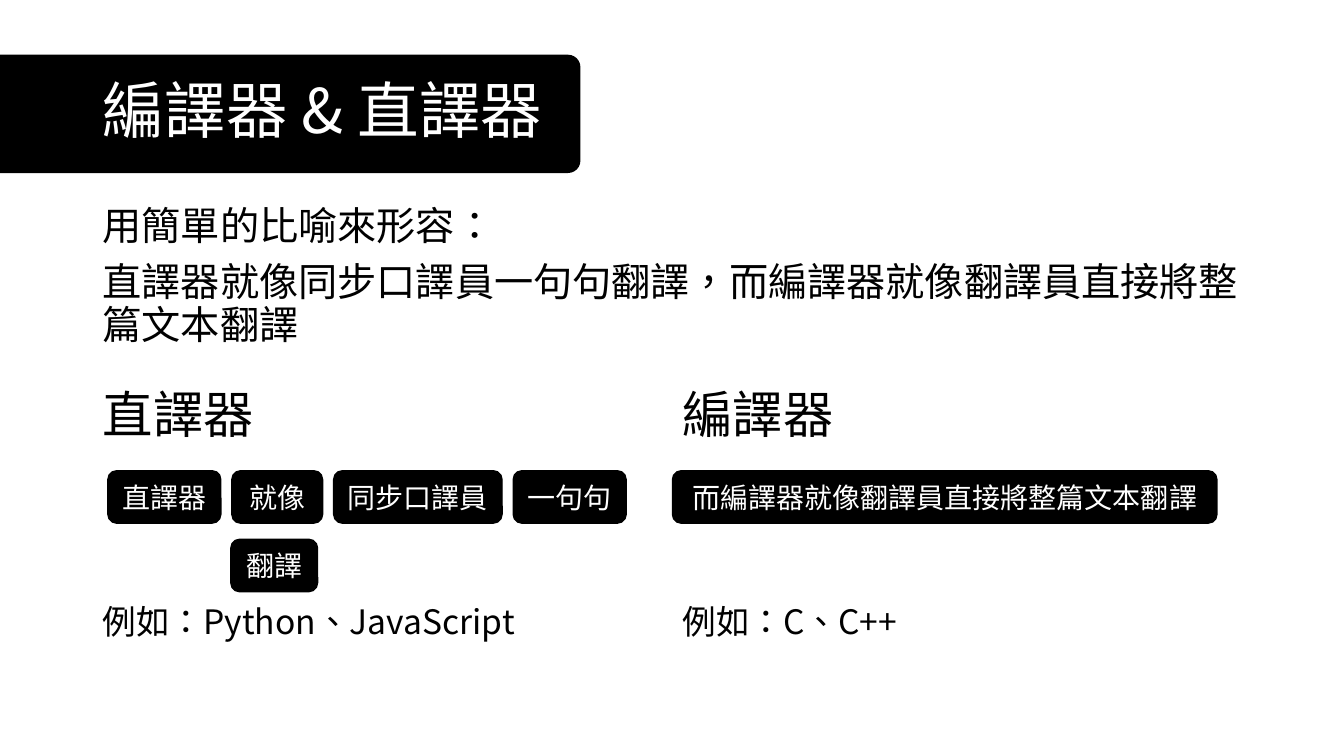
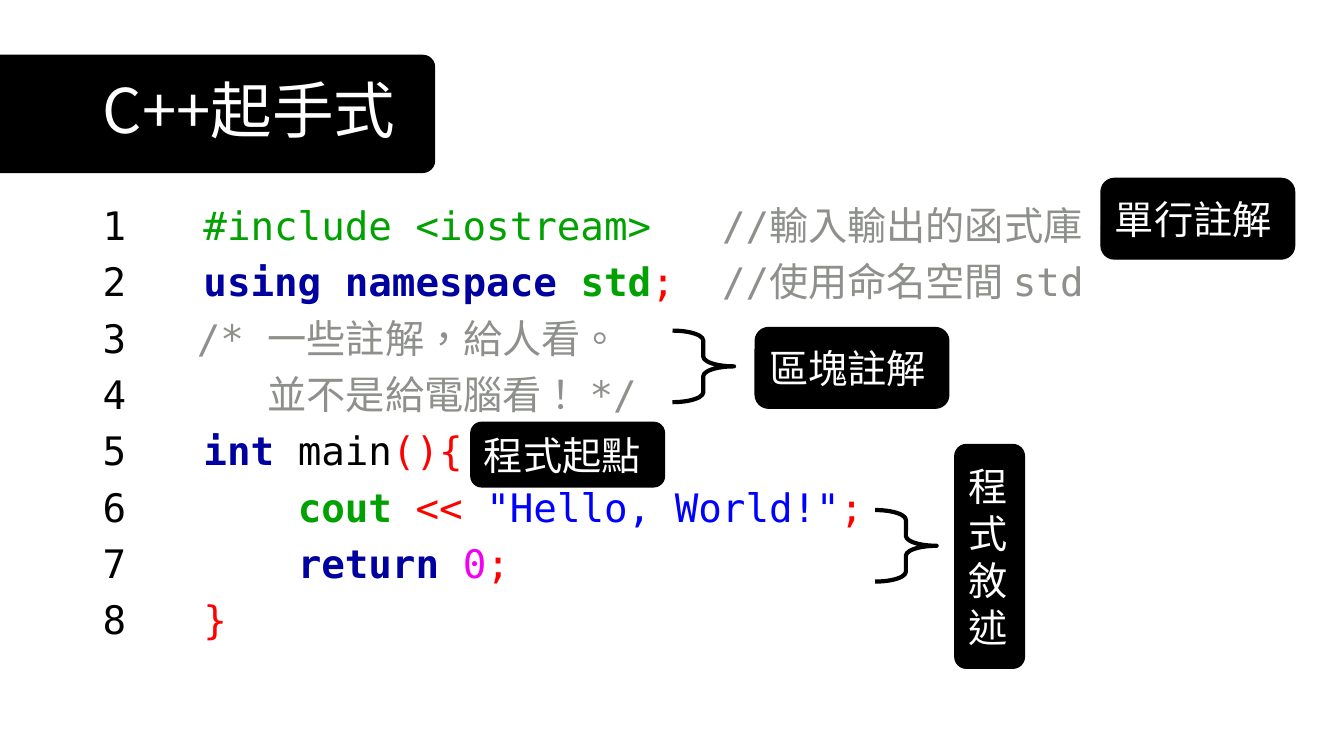
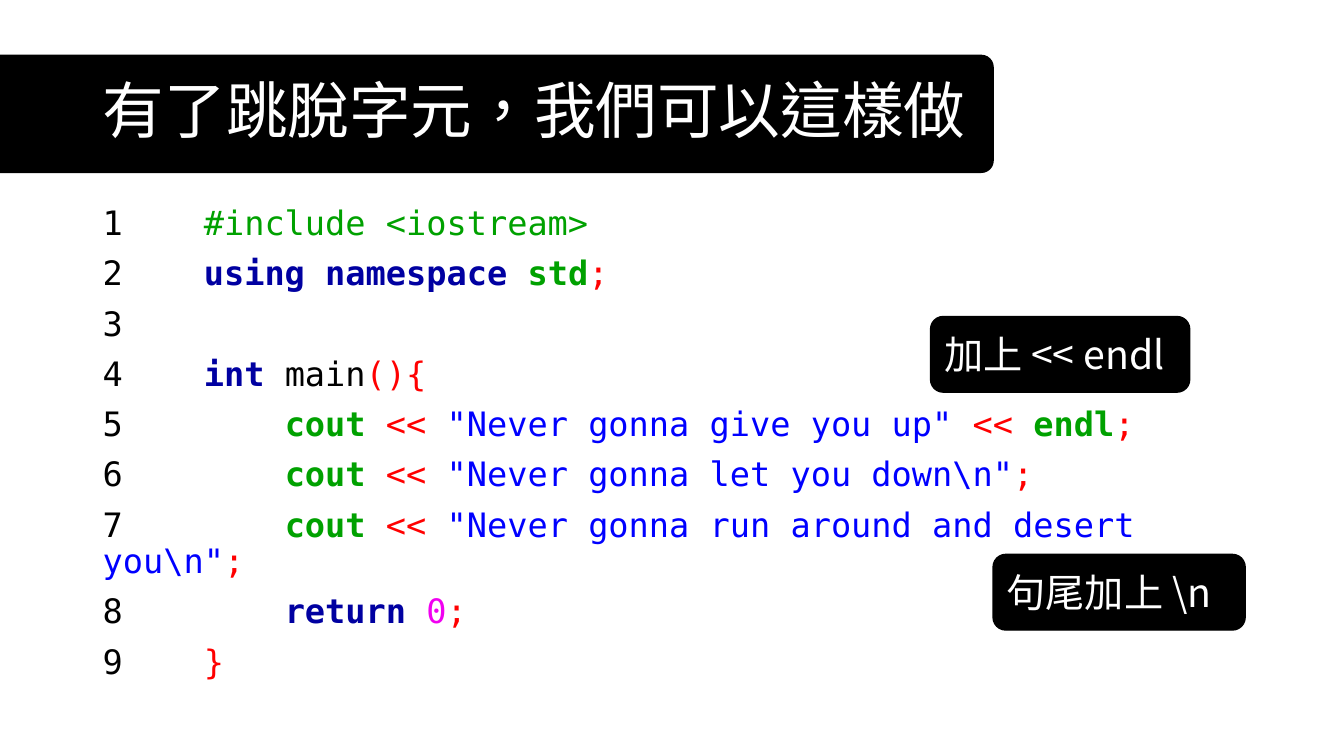
from lxml import etree
from pptx import Presentation
from pptx.dml.color import RGBColor
from pptx.enum.shapes import MSO_SHAPE
from pptx.enum.text import MSO_ANCHOR, MSO_AUTO_SIZE, PP_ALIGN
from pptx.oxml.ns import qn
from pptx.util import Inches, Pt

ROUND_RECT, RIGHT_BRACE = MSO_SHAPE.ROUNDED_RECTANGLE, MSO_SHAPE.RIGHT_BRACE
TOP, MIDDLE = MSO_ANCHOR.TOP, MSO_ANCHOR.MIDDLE
LEFT, CENTER = PP_ALIGN.LEFT, PP_ALIGN.CENTER
NO_AUTOFIT = MSO_AUTO_SIZE.NONE
TITLE_ONLY = 5

COLORS = {
    "plain": "000000",
    "inverse": "FFFFFF",
    "directive": "00A100",
    "name": "00A100",
    "keyword": "0000A1",
    "symbol": "FF0000",
    "string": "0000FF",
    "number": "F100F1",
    "comment": "8E908C",
}
BOLD_KINDS = {"name", "keyword"}
SANS, MONO = "Noto Sans CJK TC", "DejaVu Sans Mono"
LANGUAGE = "zh-TW"

MARGIN = 0.92
COLUMN_2 = 6.67
BAND_LEFT = -2.15

INCLUDE = [("#include <iostream>", "directive")]
NAMESPACE = [("using namespace ", "keyword"), ("std", "name"), (";", "symbol")]
MAIN = [("int ", "keyword"), ("main", "plain"), ("(){", "symbol")]
RETURN = [("return ", "keyword"), ("0", "number"), (";", "symbol")]
CLOSE = [("}", "symbol")]


def cout(string):
    return [("cout ", "name"), ("<< ", "symbol"), (string, "string")]


def rgb(kind):
    return RGBColor.from_string(COLORS[kind])


def add_tab_stop(paragraph, position):
    properties = paragraph._p.get_or_add_pPr()
    tab_list = etree.SubElement(properties, qn("a:tabLst"))
    etree.SubElement(tab_list, qn("a:tab"), pos=str(Inches(position)), algn="l")


def write(frame, paragraphs, size, color="plain", font=SANS, align=LEFT,
          anchor=TOP, line_spacing=None, space_before=0, tab_stop=None):
    """Fill a frame; a paragraph is a string or a list of (text, kind) runs."""
    frame.word_wrap = True
    frame.auto_size = NO_AUTOFIT
    frame.vertical_anchor = anchor
    for index, content in enumerate(paragraphs):
        paragraph = frame.add_paragraph() if index else frame.paragraphs[0]
        paragraph.alignment = align
        paragraph.line_spacing = line_spacing
        paragraph.space_before = Pt(space_before if index else 0)
        if tab_stop:
            add_tab_stop(paragraph, tab_stop)
        runs = [(content, color)] if isinstance(content, str) else content
        for text, kind in runs:
            run = paragraph.add_run()
            run.text = text
            run.font.size = Pt(size)
            run.font.bold = kind in BOLD_KINDS
            run.font.color.rgb = rgb(kind)
            run.font.name = font
            properties = run.font._element
            properties.set("lang", LANGUAGE)
            etree.SubElement(properties, qn("a:ea"), typeface=SANS)


class Deck:
    def __init__(self):
        self.presentation = Presentation()
        self.presentation.slide_width = Inches(13.33)
        self.presentation.slide_height = Inches(7.5)
        self.slide = None

    def start_slide(self, title, band_right):
        layout = self.presentation.slide_layouts[TITLE_ONLY]
        self.slide = self.presentation.slides.add_slide(layout)
        band = self.block(BAND_LEFT, 0.55, band_right - BAND_LEFT, 1.16)
        band.adjustments[0] = 0.1
        heading = self.slide.shapes.title
        heading.left, heading.top = Inches(MARGIN), Inches(0.4)
        heading.width, heading.height = Inches(11.5), Inches(1.45)
        heading.element.addprevious(band.element)
        write(heading.text_frame, [title], 44, color="inverse",
              anchor=MIDDLE, line_spacing=0.9)

    def block(self, left, top, width, height):
        block = self.slide.shapes.add_shape(
            ROUND_RECT, Inches(left), Inches(top), Inches(width), Inches(height))
        block.shadow.inherit = False
        block.fill.solid()
        block.fill.fore_color.rgb = rgb("plain")
        block.line.color.rgb = rgb("plain")
        block.line.width = Pt(1)
        return block

    def tag(self, text, left, top, width, height, size=28, align=LEFT):
        block = self.block(left, top, width, height)
        write(block.text_frame, [text], size, color="inverse",
              align=align, anchor=MIDDLE)

    def chip(self, text, left, top, width):
        self.tag(text, left, top, width, 0.52, size=20, align=CENTER)

    def text(self, paragraphs, left, top, width, height, size, **style):
        box = self.slide.shapes.add_textbox(
            Inches(left), Inches(top), Inches(width), Inches(height))
        write(box.text_frame, paragraphs, size, **style)

    def code(self, lines, width, height, size):
        """Number and show lines, each given as (gap after number, runs)."""
        numbered = [[(f"{number}{gap}", "plain"), *runs]
                    for number, (gap, runs) in enumerate(lines, 1)]
        self.text(numbered, MARGIN, 2, width, height, size, font=MONO,
                  line_spacing=0.9, space_before=10, tab_stop=1)

    def brace(self, left, top):
        brace = self.slide.shapes.add_shape(
            RIGHT_BRACE, Inches(left), Inches(top), Inches(0.61), Inches(0.71))
        brace.shadow.inherit = False
        brace.fill.background()
        brace.adjustments[0] = 0.16
        brace.line.color.rgb = rgb("plain")
        brace.line.width = Pt(3)


def compiler_slide(deck):
    deck.start_slide("編譯器 & 直譯器", 5.75)
    deck.text(["用簡單的比喻來形容：",
               "直譯器就像同步口譯員一句句翻譯，而編譯器就像翻譯員直接將整篇文本翻譯"],
              MARGIN, 2, 11.5, 1.7, 28, line_spacing=0.9, space_before=10)
    columns = [(MARGIN, "直譯器", "例如：Python、JavaScript"),
               (COLUMN_2, "編譯器", "例如：C、C++")]
    for left, heading, examples in columns:
        deck.text([heading], left, 3.75, 1.93, 0.71, 36)
        deck.text([examples], left, 5.96, 5.55, 0.97, 24, line_spacing=0.9)

    chip_top, chip_left = 4.67, 1.07
    phrases = [("直譯器", 1.12), ("就像", 0.9), ("同步口譯員", 1.67), ("一句句", 1.12)]
    for phrase, width in phrases:
        deck.chip(phrase, chip_left, chip_top, width)
        chip_left += width + 0.11
    deck.chip("翻譯", 2.29, 5.35, 0.86)
    deck.chip("而編譯器就像翻譯員直接將整篇文本翻譯", COLUMN_2, chip_top, 5.4)


def first_program_slide(deck):
    deck.start_slide("C++起手式", 4.31)
    deck.code([
        ("\t", INCLUDE + [("   ", "plain"), ("//輸入輸出的函式庫", "comment")]),
        ("\t", NAMESPACE + [("  ", "symbol"), ("//使用命名空間 std", "comment")]),
        ("   ", [("/* 一些註解，給人看。", "comment")]),
        ("      ", [("並不是給電腦看！ */", "comment")]),
        ("\t", MAIN),
        ("\t    ", cout('"Hello, World!"') + [(";", "symbol")]),
        ("\t    ", RETURN),
        ("\t", CLOSE),
    ], 11.5, 5.5, 28)
    deck.tag("程式敘述", 9.47, 4.41, 0.69, 2.22)
    deck.tag("程式起點", 4.67, 4.19, 1.92, 0.64)
    deck.tag("區塊註解", 7.49, 3.25, 1.92, 0.8)
    deck.tag("單行註解", 10.92, 1.77, 1.92, 0.8)
    deck.brace(6.67, 3.28)
    deck.brace(8.68, 5.06)


def escape_slide(deck):
    deck.start_slide("有了跳脫字元，我們可以這樣做", 9.85)
    outer, inner = " " * 4, " " * 8
    deck.code([
        (outer, INCLUDE),
        (outer, NAMESPACE),
        ("", []),
        (outer, MAIN),
        (inner, cout('"Never gonna give you up" ')
         + [("<< ", "symbol"), ("endl", "name"), (";", "symbol")]),
        (inner, cout(r'"Never gonna let you down\n"') + [(";", "symbol")]),
        (inner, cout(r'"Never gonna run around and desert you\n"')
         + [(";", "symbol")]),
        (inner, RETURN),
        (outer, CLOSE),
    ], 12, 4.76, 24)
    deck.tag("加上 << endl", 9.23, 3.14, 2.57, 0.75)
    deck.tag(r"句尾加上 \n", 9.85, 5.5, 2.5, 0.75)


def main():
    deck = Deck()
    compiler_slide(deck)
    first_program_slide(deck)
    escape_slide(deck)
    deck.presentation.save("out.pptx")


if __name__ == "__main__":
    main()
